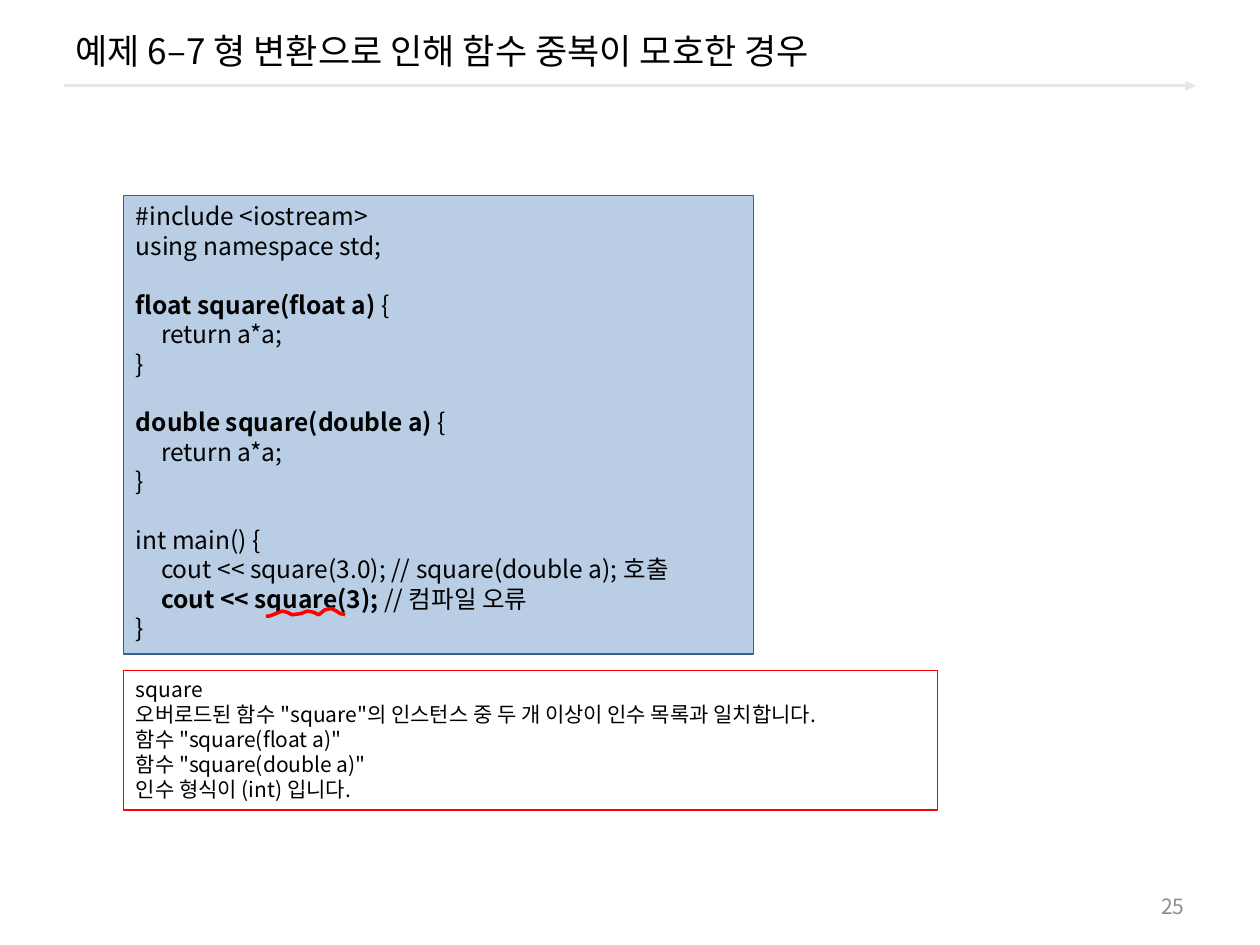
from lxml.etree import SubElement
from pptx import Presentation
from pptx.dml.color import RGBColor
from pptx.enum.shapes import MSO_CONNECTOR, MSO_SHAPE
from pptx.enum.text import MSO_ANCHOR, PP_ALIGN
from pptx.oxml.ns import qn
from pptx.util import Inches, Pt

FONT = "Noto Sans CJK KR"
BLACK = RGBColor(0x00, 0x00, 0x00)
GRAY = RGBColor(0x8C, 0x8C, 0x8C)
RULE_GRAY = RGBColor(0xE6, 0xE6, 0xE6)
CODE_FILL = RGBColor(0xB9, 0xCD, 0xE5)
CODE_EDGE = RGBColor(0x37, 0x60, 0x92)
RED = RGBColor(0xFF, 0x00, 0x00)

# Each block is a list of lines; each line is a list of (text, bold) spans
CODE_BLOCKS = [
    [[("#include <iostream>", False)],
     [("using namespace std;", False)]],
    *[[[(f"{kind} square({kind} a) ", True), ("{", False)],
       [("\treturn a*a;", False)],
       [("}", False)]] for kind in ("float", "double")],
    [[("int main() {", False)],
     [("\tcout << square(3.0); // square(double a); 호출", False)],
     [("\t", False), ("cout << square(3);", True), (" // 컴파일 오류", False)],
     [("}", False)]],
]
ERROR_LINES = [
    "square",
    '오버로드된 함수 "square"의 인스턴스 중 두 개 이상이 인수 목록과 일치합니다.',
    '함수 "square(float a)"',
    '함수 "square(double a)"',
    "인수 형식이 (int) 입니다.",
]
# Offsets from the top left corner of the squiggle
SQUIGGLE = [(0, .06), (.03, .06), (.08, .04), (.13, .02), (.17, .03),
            (.21, .05), (.28, .04), (.33, .02), (.38, .03), (.42, .05),
            (.47, .01), (.52, 0), (.56, .02), (.59, .04), (.63, .05)]


def add_span(para, text, size, color=BLACK, bold=False):
    span = para.add_run()
    span.text = text
    span.font.size = Pt(size)
    span.font.name = FONT
    span.font.bold = bold
    span.font.color.rgb = color
    SubElement(span.font._element, qn("a:ea"), typeface=FONT)


def set_tab(para, position):
    tabs = SubElement(para._p.get_or_add_pPr(), qn("a:tabLst"))
    SubElement(tabs, qn("a:tab"), pos=str(position), algn="l")


def add_title(page, text, left, top, width, height):
    title = page.shapes.title
    title.left, title.top, title.width, title.height = left, top, width, height
    frame = title.text_frame
    frame.vertical_anchor = MSO_ANCHOR.MIDDLE
    frame.paragraphs[0].alignment = PP_ALIGN.LEFT
    add_span(frame.paragraphs[0], text, 20)


def add_rule(page, left, top, width):
    rule = page.shapes.add_connector(MSO_CONNECTOR.STRAIGHT, left, top, left + width, top)
    rule.line.color.rgb = RULE_GRAY
    rule.line.width = Pt(1.5)
    SubElement(rule.line._get_or_add_ln(), qn("a:tailEnd"), type="triangle")
    SubElement(rule._element.spPr, qn("a:effectLst"))


def add_panel(page, left, top, width, height, edge, fill=None):
    panel = page.shapes.add_shape(MSO_SHAPE.RECTANGLE, left, top, width, height)
    panel.shadow.inherit = False
    if fill is None:
        panel.fill.background()
    else:
        panel.fill.solid()
        panel.fill.fore_color.rgb = fill
    panel.line.color.rgb = edge
    panel.line.width = Pt(0.75)
    panel.text_frame.word_wrap = True
    panel.text_frame.vertical_anchor = MSO_ANCHOR.TOP
    return panel.text_frame


def add_lines(frame, blocks, size, pitch):
    """Write blocks of lines, with one line's height between blocks."""
    first = True
    for block in blocks:
        for number, line in enumerate(block):
            para = frame.paragraphs[0] if first else frame.add_paragraph()
            para.alignment = PP_ALIGN.LEFT
            para.line_spacing = Pt(pitch)
            if number == 0 and not first:
                para.space_before = Pt(pitch)
            set_tab(para, Inches(0.2))
            for text, bold in line:
                add_span(para, text, size, bold=bold)
            first = False


def add_code(page, left, top, width, height):
    frame = add_panel(page, left, top, width, height, CODE_EDGE, CODE_FILL)
    add_lines(frame, CODE_BLOCKS, 14, 16.8)
    add_squiggle(page, left + Inches(1.13), top + Inches(3.28))


def add_squiggle(page, left, top):
    points = [(left + Inches(x), top + Inches(y)) for x, y in SQUIGGLE]
    builder = page.shapes.build_freeform(*points[0])
    builder.add_line_segments(points[1:], close=False)
    squiggle = builder.convert_to_shape()
    squiggle.shadow.inherit = False
    squiggle.fill.background()
    squiggle.line.color.rgb = RED
    squiggle.line.width = Pt(2)


def add_error(page, left, top, width, height):
    frame = add_panel(page, left, top, width, height, RED)
    add_lines(frame, [[[(line, False)] for line in ERROR_LINES]], 12, 14.3)


def add_page_number(page, text, left, top, width, height):
    frame = page.shapes.add_textbox(left, top, width, height).text_frame
    frame.word_wrap = True
    frame.vertical_anchor = MSO_ANCHOR.MIDDLE
    frame.paragraphs[0].alignment = PP_ALIGN.RIGHT
    add_span(frame.paragraphs[0], text, 12, color=GRAY)


def main():
    deck = Presentation()
    deck.slide_width, deck.slide_height = Inches(10), Inches(7.5)
    page = deck.slides.add_slide(deck.slide_layouts[5])

    # Heading
    add_rule(page, Inches(0.51), Inches(0.68), Inches(8.98))
    add_title(page, "예제 6–7 형 변환으로 인해 함수 중복이 모호한 경우",
              Inches(0.5), Inches(0.08), Inches(9), Inches(0.64))
    # Code and the compiler message below it
    add_code(page, Inches(0.98), Inches(1.55), Inches(5), Inches(3.64))
    add_error(page, Inches(0.98), Inches(5.32), Inches(6.46), Inches(1.11))
    # Footer
    add_page_number(page, "25", Inches(7.17), Inches(7.03), Inches(2.33), Inches(0.32))

    deck.save("out.pptx")


if __name__ == "__main__":
    main()
